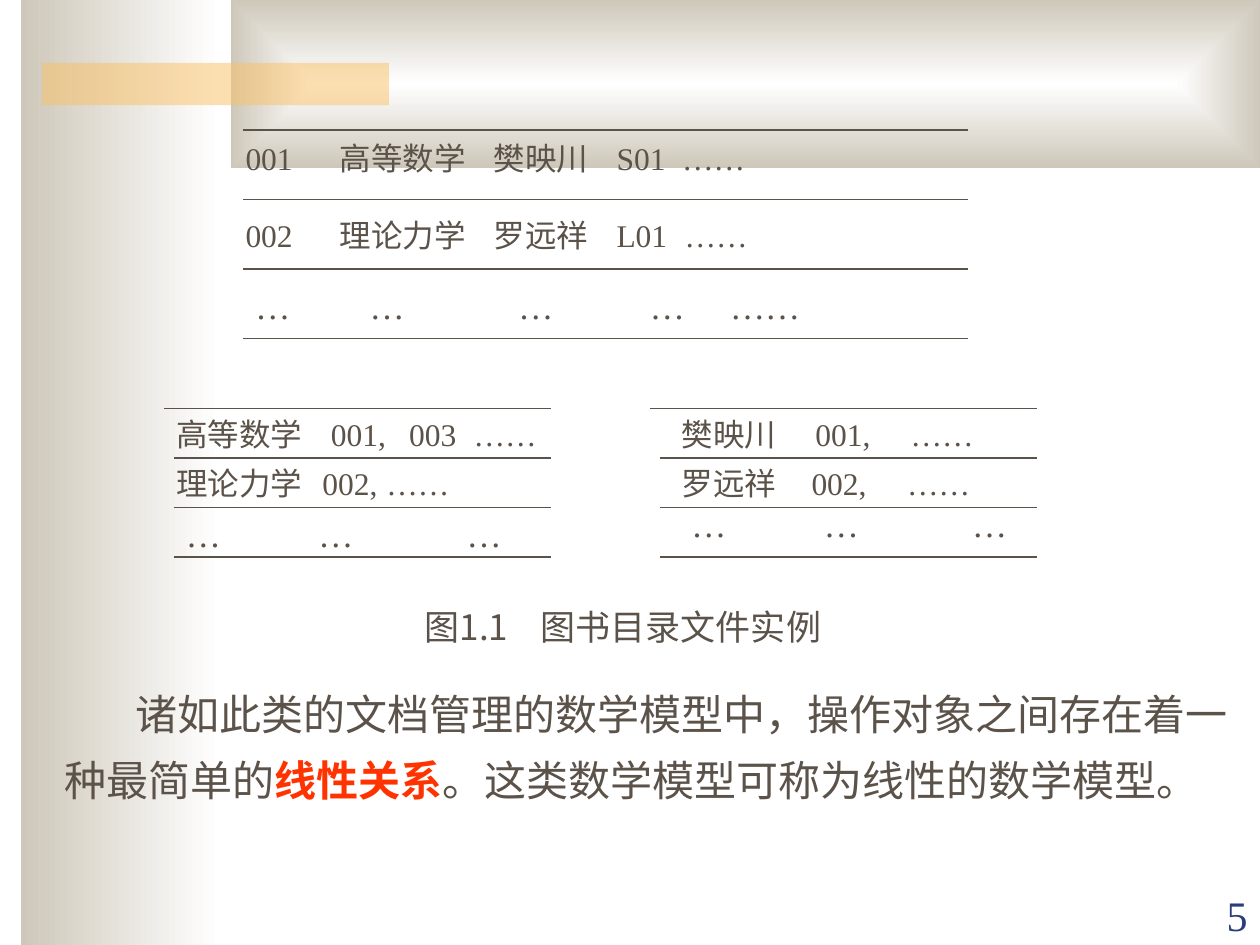
import pptx
import pptx.util
import pptx.dml.color
import pptx.enum.shapes
import pptx.enum.text
import pptx.oxml.ns
from lxml import etree

Cm, Pt = pptx.util.Cm, pptx.util.Pt
qn = pptx.oxml.ns.qn
ALIGN = pptx.enum.text.PP_ALIGN
ANCHOR = pptx.enum.text.MSO_ANCHOR

# ---- Content (lengths in cm) ----
COLORS = {"ink": "5B5249", "key": "FF3300", "page": "2A3D7A",
          "stone": "CEC8BA", "white": "FFFFFF", "amber": "FAC164"}
LATIN, CJK = "Times New Roman", "Noto Sans CJK SC"

# Each row: cells, tab stops, font size, left shift, top
TABLES = [
    {"left": 4.7, "width": 14.6,
     "rules": {"starts": [4.9] * 4, "end": 19.51, "top": 2.62, "pitch": 1.4},
     "rows": [
         (["001", "高等数学", "樊映川", "S01", "……"], [1.9, 5, 7.48, 8.8], 18, 0, 2.67),
         (["002", "理论力学", "罗远祥", "L01", "……"], [1.9, 5, 7.48, 8.85], 18, 0, 4.22),
         (["…", "…", "…", "…", "……"], [2.3, 5.3, 7.95, 9.57], 20, 0.2, 5.61)]},
    {"left": 3.3, "width": 9.2,
     "rules": {"starts": [3.3, 3.5, 3.5, 3.5], "end": 11.1, "top": 8.23, "pitch": 1},
     "rows": [
         (["高等数学", "001,", "003", "……"], [3.12, 4.7, 6], 18, 0, 8.23),
         (["理论力学", "002,", "……"], [2.95, 4.24], 18, 0, 9.22),
         (["…", "…", "…"], [2.67, 5.66], 20, 0.2, 10.21)]},
    {"left": 13.49, "width": 9.2,
     "rules": {"starts": [13.1, 13.3, 13.3, 13.3], "end": 20.9, "top": 8.23, "pitch": 1},
     "rows": [
         (["樊映川", "001,", "……"], [2.7, 4.62], 18, 0, 8.23),
         (["罗远祥", "002,", "……"], [2.62, 4.55], 18, 0, 9.22),
         (["…", "…", "…"], [2.67, 5.66], 20, 0.2, 10)]},
]
CAPTION = "图1.1\t图书目录文件实例"
SUMMARY = [("诸如此类的文档管理的数学模型中，操作对象之间存在着一种最简单的", "ink", False),
           ("线性关系", "key", True),
           ("。这类数学模型可称为线性的数学模型。", "ink", False)]

deck = pptx.Presentation()
deck.slide_width, deck.slide_height = Cm(25.4), Cm(19.05)
slide = deck.slides.add_slide(deck.slide_layouts[6])


def rgb(name):
    return pptx.dml.color.RGBColor.from_string(COLORS[name])


def add_text(text, left, top, width, height, size=18, color="ink", font=LATIN,
             tabs=(), indent=0, inset=0.25, line=1.2, align=ALIGN.LEFT,
             anchor=ANCHOR.TOP):
    """text is a string or a list of (words, color, bold)."""
    frame = slide.shapes.add_textbox(Cm(left), Cm(top), Cm(width), Cm(height)).text_frame
    frame.word_wrap = True
    frame.vertical_anchor = anchor
    frame.margin_left = frame.margin_right = Cm(inset)
    frame.margin_top = frame.margin_bottom = Cm(0.13)
    paragraph = frame.paragraphs[0]
    paragraph.alignment = align
    paragraph.line_spacing = Pt(round(size * line, 1))
    props = paragraph._p.get_or_add_pPr()
    if indent:
        props.set("marL", "0")
        props.set("indent", str(Cm(indent)))
    if tabs:
        stops = etree.SubElement(props, qn("a:tabLst"))
        for stop in tabs:
            etree.SubElement(stops, qn("a:tab"), pos=str(Cm(stop)), algn="l")
    for words, shade, bold in [(text, color, False)] if isinstance(text, str) else text:
        run = paragraph.add_run()
        run.text = words
        run.font.size, run.font.bold, run.font.name = Pt(size), bold, font
        run.font.color.rgb = rgb(shade)
        etree.SubElement(run._r.get_or_add_rPr(), qn("a:ea"), typeface=CJK)


def add_block(left, top, width, height):
    block = slide.shapes.add_shape(pptx.enum.shapes.MSO_SHAPE.RECTANGLE,
                                   Cm(left), Cm(top), Cm(width), Cm(height))
    block.shadow.inherit = False
    block.line.fill.background()
    return block


def fade(block):
    """White to stone, running leftwards."""
    block.fill.gradient()
    block.fill.gradient_angle = 180
    for stop, name, position in zip(block.fill.gradient_stops, ("white", "stone"), (0, 1)):
        stop.color.rgb = rgb(name)
        stop.position = position


def add_rule(start, end, y):
    rule = slide.shapes.add_connector(pptx.enum.shapes.MSO_CONNECTOR.STRAIGHT,
                                      Cm(start), Cm(y), Cm(end), Cm(y))
    rule.line.color.rgb = rgb("ink")
    rule.line.width = Pt(0.75)
    etree.SubElement(rule._element.spPr, qn("a:effectLst"))


# ---- Background bands ----
fade(add_block(0.43, 0, 4.01, 19.05))

header = add_block(4.65, 0, 20.75, 3.38)
fade(header)
gradient = header._element.spPr.find(qn("a:gradFill"))
gradient.remove(gradient.find(qn("a:lin")))
inward = etree.SubElement(gradient, qn("a:path"), {"path": "rect"})
etree.SubElement(inward, qn("a:fillToRect"), dict.fromkeys("ltrb", "50000"))

accent = add_block(0.85, 1.27, 6.99, 0.85)
accent.fill.solid()
accent.fill.fore_color.rgb = rgb("amber")
accent_color = accent._element.spPr.find(qn("a:solidFill"))[0]
etree.SubElement(accent_color, qn("a:alpha"), val="50000")

# ---- Ruled tables of the book catalogue ----
for table in TABLES:
    rules = table["rules"]
    for number, start in enumerate(rules["starts"]):
        add_rule(start, rules["end"], rules["top"] + number * rules["pitch"])
    for cells, tabs, size, shift, top in table["rows"]:
        add_text("\t".join(cells), table["left"] + shift, top, table["width"], 1.02,
                 size=size, tabs=tabs)

# ---- Caption, summary and page number ----
add_text(CAPTION, 8.31, 12.07, 8.81, 1.12, size=20, font=CJK, tabs=[2.34])
add_text(SUMMARY, 1.3, 13.44, 23.6, 2.9, size=24, indent=1.43, inset=0, line=1.57)
add_text("5", 22.86, 17.8, 2.54, 1.27, size=24, color="page",
         align=ALIGN.RIGHT, anchor=ANCHOR.BOTTOM)

deck.save("out.pptx")
